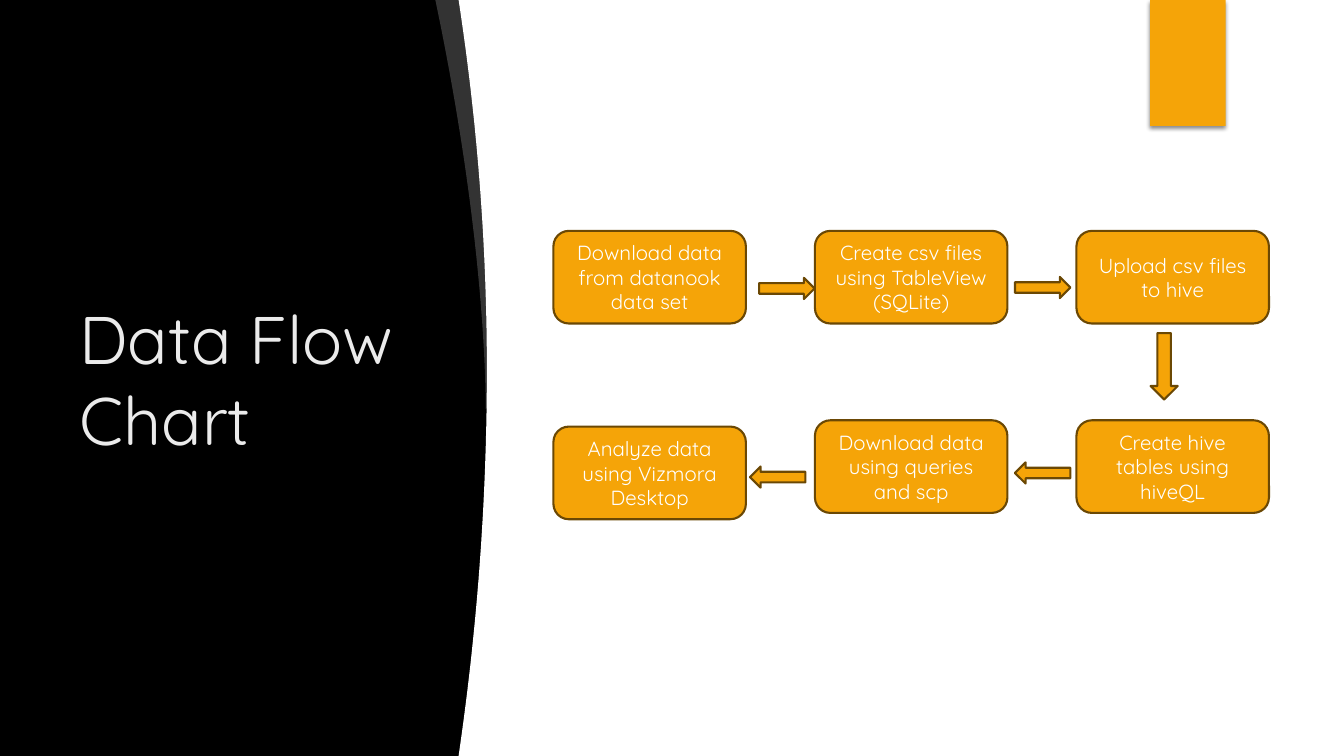
"""Build the data flow chart slide."""
from dataclasses import dataclass

from lxml.etree import SubElement
from pptx import Presentation
from pptx.dml.color import RGBColor
from pptx.enum.shapes import MSO_SHAPE
from pptx.enum.text import MSO_ANCHOR, MSO_AUTO_SIZE, PP_ALIGN
from pptx.oxml.ns import qn
from pptx.shapes.autoshape import Shape
from pptx.slide import Slide
from pptx.text.text import TextFrame
from pptx.util import Pt

BLACK = RGBColor(0x00, 0x00, 0x00)
WHITE = RGBColor(0xFF, 0xFF, 0xFF)
PALE = RGBColor(0xEB, 0xEB, 0xEB)
ORANGE = RGBColor(0xF5, 0xA4, 0x08)
BROWN = RGBColor(0x6B, 0x48, 0x04)
FONT = "Quicksand"

COL_LEFT, COL_PITCH = 395.3, 186.8
BOX_W, BOX_H = 137.5, 66.2


@dataclass(frozen=True)
class Step:
    """A rounded box in the flow."""
    text: str
    col: int
    top: float


@dataclass(frozen=True)
class Arrow:
    """A block arrow between two steps."""
    left: float
    top: float
    rotation: float = 0
    width: float = 39.6
    height: float = 15.1


STEPS = [
    Step("Download data from datanook data set", 0, 164.9),
    Step("Create csv files using TableView (SQLite)", 1, 164.9),
    Step("Upload csv files to hive", 2, 164.9),
    Step("Create hive tables using hiveQL", 2, 300.2),
    Step("Download data using queries and scp", 1, 300.2),
    Step("Analyze data using Vizmora Desktop", 0, 304.7),
]
ARROWS = [
    Arrow(542.2, 198.5),
    Arrow(725, 197.8),
    Arrow(535.7, 333.2, 180),
    Arrow(725, 330.3, 180),
    Arrow(807.8, 252, 90, 47.5, 19.4),
]


def add_text(tf: TextFrame, text: str, size: float, color: RGBColor,
             align: PP_ALIGN) -> None:
    """Write one formatted run, centred vertically in the frame."""
    tf.word_wrap = True
    tf.auto_size = MSO_AUTO_SIZE.NONE
    tf.vertical_anchor = MSO_ANCHOR.MIDDLE
    p = tf.paragraphs[0]
    p.alignment = align
    r = p.add_run()
    r.text = text
    r.font.name = FONT
    r.font.size = Pt(size)
    r.font.color.rgb = color


def paint(sp: Shape, fill: RGBColor, line: RGBColor | None = None) -> None:
    """Give a shape a flat fill and an optional outline."""
    sp.shadow.inherit = False
    sp.fill.solid()
    sp.fill.fore_color.rgb = fill
    if line is None:
        sp.line.fill.background()
    else:
        sp.line.color.rgb = line
        sp.line.width = Pt(1.5)


def add_block(s: Slide, kind: MSO_SHAPE, left: float, top: float, width: float,
              height: float, fill: RGBColor, line: RGBColor | None = None) -> Shape:
    """Add a painted preset shape."""
    sp = s.shapes.add_shape(kind, Pt(left), Pt(top), Pt(width), Pt(height))
    paint(sp, fill, line)
    return sp


def add_outline(s: Slide, points: list[tuple[float, float]], fill: RGBColor) -> Shape:
    """Add a closed, painted polygon."""
    scaled = [(Pt(x), Pt(y)) for x, y in points]
    builder = s.shapes.build_freeform(*scaled[0])
    builder.add_line_segments(scaled[1:], close=True)
    sp = builder.convert_to_shape()
    paint(sp, fill)
    return sp


def add_alpha(color_parent, percent: int) -> None:
    """Set the opacity of the colour inside an element."""
    color = color_parent.find(qn("a:srgbClr"))
    SubElement(color, qn("a:alpha"), val=str(percent * 1000))


def add_shadow(sp: Shape) -> None:
    """Give a shape a soft shadow below it."""
    effects = sp.element.spPr.find(qn("a:effectLst"))
    shadow = SubElement(effects, qn("a:outerShdw"), blurRad=str(Pt(3)),
                        dist=str(Pt(2)), dir="5400000", rotWithShape="0")
    SubElement(shadow, qn("a:srgbClr"), val=str(BLACK))
    add_alpha(shadow, 45)


def add_backdrop(s: Slide) -> None:
    """Draw the curved white panel, its grey crescent and the orange tab."""
    crescent = [(311 + 36 * (1 - (1 - y / 292) ** 1.7), y) for y in range(292, -1, -4)]
    crescent += [(348.5, 0), (353, 108), (352, 289.4)]
    sp = add_outline(s, crescent, WHITE)
    add_alpha(sp.element.spPr.find(qn("a:solidFill")), 20)

    add_block(s, MSO_SHAPE.RECTANGLE, 365, 0, 595, 540, WHITE)
    curve = [(327.6 + 20.2 * (1 - ((y - 264) / (264 if y < 264 else 276)) ** 2), y)
             for y in range(0, 541, 6)]
    add_outline(s, curve + [(433.4, 540), (433.4, 0)], WHITE)
    add_shadow(add_block(s, MSO_SHAPE.RECTANGLE, 821.5, 0, 54, 90, ORANGE))


def add_step(s: Slide, step: Step) -> None:
    """Draw one step of the flow."""
    sp = add_block(s, MSO_SHAPE.ROUNDED_RECTANGLE, COL_LEFT + step.col * COL_PITCH,
                   step.top, BOX_W, BOX_H, ORANGE, BROWN)
    add_text(sp.text_frame, step.text, 14.6, WHITE, PP_ALIGN.CENTER)


def add_arrow(s: Slide, arrow: Arrow) -> None:
    """Draw one block arrow."""
    sp = add_block(s, MSO_SHAPE.RIGHT_ARROW, arrow.left, arrow.top, arrow.width,
                   arrow.height, ORANGE, BROWN)
    sp.rotation = arrow.rotation


def main() -> None:
    """Build and save the slide."""
    prs = Presentation()
    prs.slide_width, prs.slide_height = Pt(960), Pt(540)
    s = prs.slides.add_slide(prs.slide_layouts[5])
    s.background.fill.solid()
    s.background.fill.fore_color.rgb = BLACK

    title = s.shapes.title
    title.left, title.top = Pt(49.7), Pt(49.7)
    title.width, title.height = Pt(245.5), Pt(440.6)
    add_text(title.text_frame, "Data Flow Chart", 48, PALE, PP_ALIGN.LEFT)

    add_backdrop(s)
    for step in STEPS:
        add_step(s, step)
    for arrow in ARROWS:
        add_arrow(s, arrow)
    prs.save("out.pptx")


if __name__ == "__main__":
    main()
